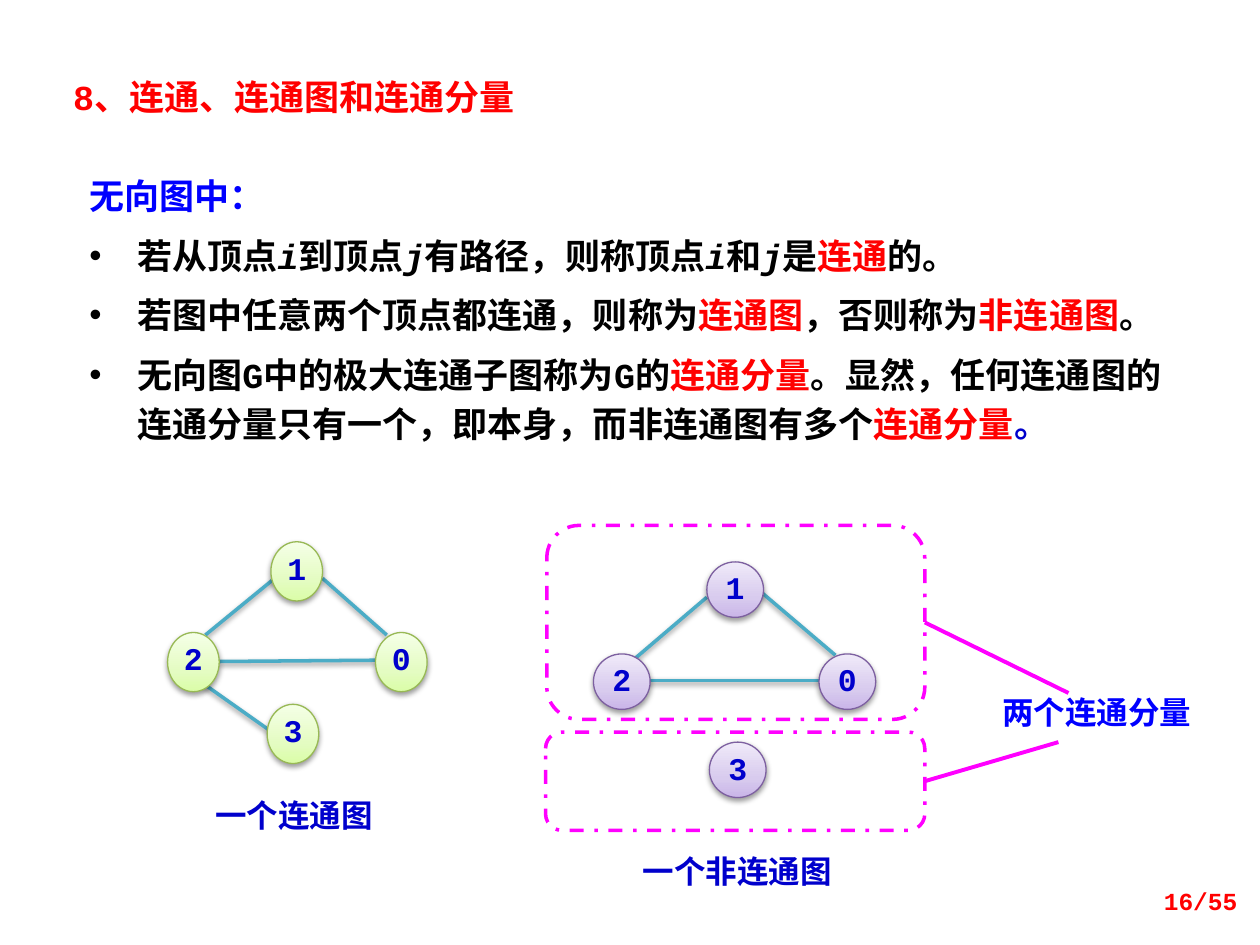
from lxml import etree
from pptx import Presentation
from pptx.dml.color import RGBColor
from pptx.enum.dml import MSO_LINE
from pptx.enum.shapes import MSO_CONNECTOR, MSO_SHAPE
from pptx.enum.text import MSO_ANCHOR, MSO_AUTO_SIZE, PP_ALIGN
from pptx.oxml import parse_xml
from pptx.oxml.ns import nsdecls, qn
from pptx.util import Inches, Pt

COLORS = {
    "red": "FF0000", "blue": "0000FF", "navy": "0000CC", "black": "000000",
    "white": "FFFFFF", "magenta": "FF00FF", "edge": "4BACC6",
}
GREEN = {"line": "98B955", "stops": ((0, "DAFDA7"), (35, "E4FCC2"), (100, "F5FFE7"))}
PURPLE = {"line": "7D60A0", "stops": ((0, "C9B5E8"), (35, "D8CBEE"), (100, "F0EAF9"))}

LATIN, CHINESE, EMPHASIS = "Courier New", "Noto Sans CJK SC", "Noto Sans CJK JP"
# Run style: font, colour, italic
PLAIN = (LATIN, "black", False)
VARIABLE = (LATIN, "black", True)
TERM = (EMPHASIS, "red", False)

BULLETS = [
    [("若从顶点", PLAIN), ("i", VARIABLE), ("到顶点", PLAIN), ("j", VARIABLE),
     ("有路径，则称顶点", PLAIN), ("i", VARIABLE), ("和", PLAIN), ("j", VARIABLE),
     ("是", PLAIN), ("连通", TERM), ("的。", PLAIN)],
    [("若图中任意两个顶点都连通，则称为", PLAIN), ("连通图", TERM),
     ("，否则称为", PLAIN), ("非连通图", TERM), ("。", PLAIN)],
    [("无向图G中的极大连通子图称为G的", PLAIN), ("连通分量", TERM),
     ("。显然，任何连通图的连通分量只有一个，即本身，而非连通图有多个", PLAIN),
     ("连通分量", TERM), ("。", (LATIN, "navy", False))],
]


def rgb(name):
    return RGBColor.from_string(COLORS.get(name, name))


class GraphSlide:
    """Draws on a grid of 100 columns by 75 rows."""

    def __init__(self, presentation):
        self.column = presentation.slide_width / 100
        self.row = presentation.slide_height / 75
        self.slide = presentation.slides.add_slide(presentation.slide_layouts[5])
        self.shapes = self.slide.shapes

    def place(self, *box):
        units = (self.column, self.row) * 2
        return [round(value * unit) for value, unit in zip(box, units)]

    def style_run(self, run, size, color, font=LATIN, italic=False):
        run.font.size, run.font.bold, run.font.italic = Pt(size), True, italic
        run.font.name = font
        run.font.color.rgb = rgb(color)
        east_asian = etree.SubElement(run.font._element, qn("a:ea"))
        east_asian.set("typeface", CHINESE if font == LATIN else font)

    def add_shadow(self, shape):
        properties = shape._element.spPr
        for empty in properties.findall(qn("a:effectLst")):
            properties.remove(empty)
        properties.append(parse_xml(
            f'<a:effectLst {nsdecls("a")}><a:outerShdw blurRad="{Pt(3.1)}" dist="{Pt(1.6)}" '
            'dir="5400000" rotWithShape="0"><a:srgbClr val="000000"><a:alpha val="38000"/>'
            '</a:srgbClr></a:outerShdw></a:effectLst>'))

    def title(self, text, box):
        title = self.shapes.title
        title.left, title.top, title.width, title.height = self.place(*box)
        frame = title.text_frame
        frame.text = text
        frame.word_wrap, frame.vertical_anchor = True, MSO_ANCHOR.TOP
        frame.auto_size = MSO_AUTO_SIZE.SHAPE_TO_FIT_TEXT
        frame.margin_left = Inches(0.27)
        frame.paragraphs[0].alignment = PP_ALIGN.LEFT
        self.style_run(frame.paragraphs[0].runs[0], 20, "red")

    def label(self, text, box, color="navy", size=18, font=CHINESE,
              align=PP_ALIGN.CENTER, anchor=MSO_ANCHOR.TOP):
        frame = self.shapes.add_textbox(*self.place(*box)).text_frame
        frame.text = text
        frame.word_wrap, frame.vertical_anchor = True, anchor
        frame.paragraphs[0].alignment = align
        self.style_run(frame.paragraphs[0].runs[0], size, color, font)

    def definitions(self, heading, bullets, box):
        panel = self.shapes.add_textbox(*self.place(*box))
        panel.fill.solid()
        panel.fill.fore_color.rgb = rgb("white")
        frame = panel.text_frame
        frame.word_wrap = True
        frame.margin_left, frame.margin_right = Inches(0.16), Inches(0.1)
        frame.margin_top = frame.margin_bottom = Inches(0.08)
        first = frame.paragraphs[0]
        first.text = heading
        first.line_spacing = Pt(28)
        self.style_run(first.runs[0], 20, "blue", CHINESE)
        for runs in bullets:
            paragraph = frame.add_paragraph()
            paragraph.line_spacing, paragraph.space_before = Pt(28), Pt(6)
            properties = paragraph._p.get_or_add_pPr()
            properties.set("marL", str(Inches(0.38)))
            properties.set("indent", str(-Inches(0.38)))
            etree.SubElement(properties, qn("a:buFont")).set("typeface", "Arial")
            etree.SubElement(properties, qn("a:buChar")).set("char", "•")
            for text, (font, color, italic) in runs:
                run = paragraph.add_run()
                run.text = text
                self.style_run(run, 20, color, font, italic)

    def line(self, start, end, color="edge", width=2, shadow=True):
        line = self.shapes.add_connector(
            MSO_CONNECTOR.STRAIGHT, *self.place(*start, *end))
        line.line.color.rgb, line.line.width = rgb(color), Pt(width)
        if shadow:
            self.add_shadow(line)
        else:
            etree.SubElement(line._element.spPr, qn("a:effectLst"))

    def node(self, text, position, size, palette):
        node = self.shapes.add_shape(MSO_SHAPE.OVAL, *self.place(*position, *size))
        stops = "".join(f'<a:gs pos="{share * 1000}"><a:srgbClr val="{color}"/></a:gs>'
                        for share, color in palette["stops"])
        node._element.spPr.append(parse_xml(
            f'<a:gradFill {nsdecls("a")} rotWithShape="1"><a:gsLst>{stops}</a:gsLst>'
            '<a:lin ang="16200000" scaled="1"/></a:gradFill>'))
        node.line.color.rgb, node.line.width = rgb(palette["line"]), Pt(0.75)
        self.add_shadow(node)
        frame = node.text_frame
        frame.text = text
        frame.vertical_anchor = MSO_ANCHOR.TOP
        frame.margin_left = frame.margin_right = frame.margin_bottom = 0
        frame.margin_top = Inches(0.12)
        paragraph = frame.paragraphs[0]
        paragraph.alignment, paragraph.line_spacing = PP_ALIGN.CENTER, Pt(12)
        self.style_run(paragraph.runs[0], 18, "navy")

    def graph(self, nodes, edges, size, palette):
        for start, end in edges:
            self.line(start, end)
        for text, position in nodes.items():
            self.node(text, position, size, palette)

    def component(self, box, pointer_start, pointer_end):
        """Dashed frame around one component, with a line to its label."""
        frame = self.shapes.add_shape(MSO_SHAPE.ROUNDED_RECTANGLE, *self.place(*box))
        frame.shadow.inherit = False
        frame.fill.background()
        frame.line.color.rgb, frame.line.width = rgb("magenta"), Pt(2)
        frame.line.dash_style = MSO_LINE.DASH_DOT
        self.line(pointer_start, pointer_end, "magenta", 2.25, shadow=False)


def main():
    presentation = Presentation()
    presentation.slide_width, presentation.slide_height = Inches(10), Inches(7.5)
    page = GraphSlide(presentation)
    page.title("8、连通、连通图和连通分量", (3.1, 5.5, 39.8, 4.4))
    page.definitions("无向图中：", BULLETS, (5.5, 12.5, 88.3, 23.7))

    page.graph(
        {"1": (21.5, 43), "0": (29.8, 50.2), "2": (13.3, 50.2), "3": (21.2, 55.9)},
        [((16.3, 50.4), (21.8, 45.9)), ((16.2, 54.3), (21.3, 57.9)),
         ((29.8, 52.4), (17.4, 52.5)), ((25.6, 45.9), (30.7, 50.4))],
        (4.1, 4.7), GREEN)
    page.label("一个连通图", (15.6, 62.7, 15.5, 3.7))

    page.graph(
        {"1": (56.1, 44.6), "0": (65, 51.9), "2": (47.1, 51.9), "3": (56.3, 58.9)},
        [((66.3, 52), (60.3, 46.9)), ((56.1, 47.4), (50, 52.6)),
         ((51.4, 54), (65, 54))],
        (4.5, 4.4), PURPLE)
    page.label("一个非连通图", (49.8, 67.1, 17.4, 4))

    page.component((43.4, 41.7, 30, 15.4), (73.4, 49.4), (84.8, 55))
    page.component((43.3, 58.1, 30.1, 7.8), (73.4, 62), (84, 58.9))
    page.label("两个连通分量", (77.3, 54.5, 19.5, 4), "blue")
    page.label("16/55", (75.9, 69.5, 23.3, 4), "red", 14, LATIN,
               PP_ALIGN.RIGHT, MSO_ANCHOR.MIDDLE)
    presentation.save("out.pptx")


if __name__ == "__main__":
    main()
